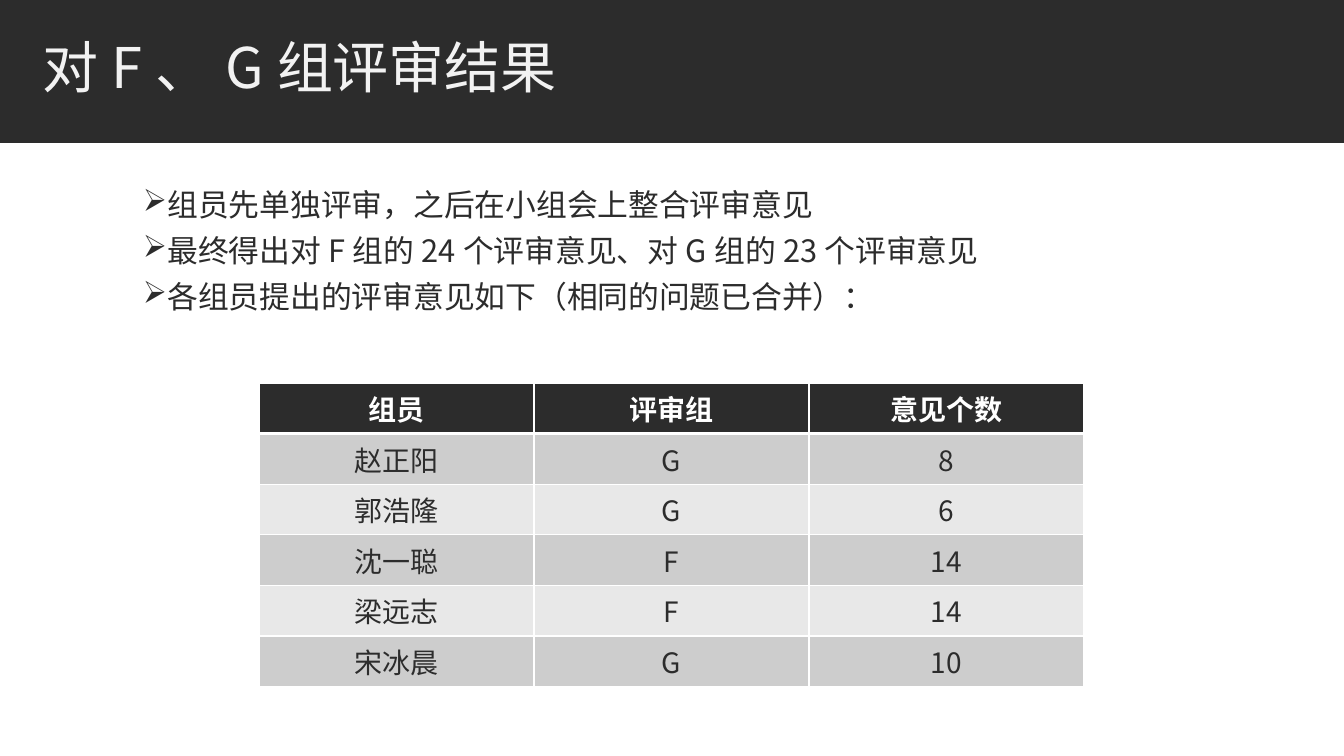
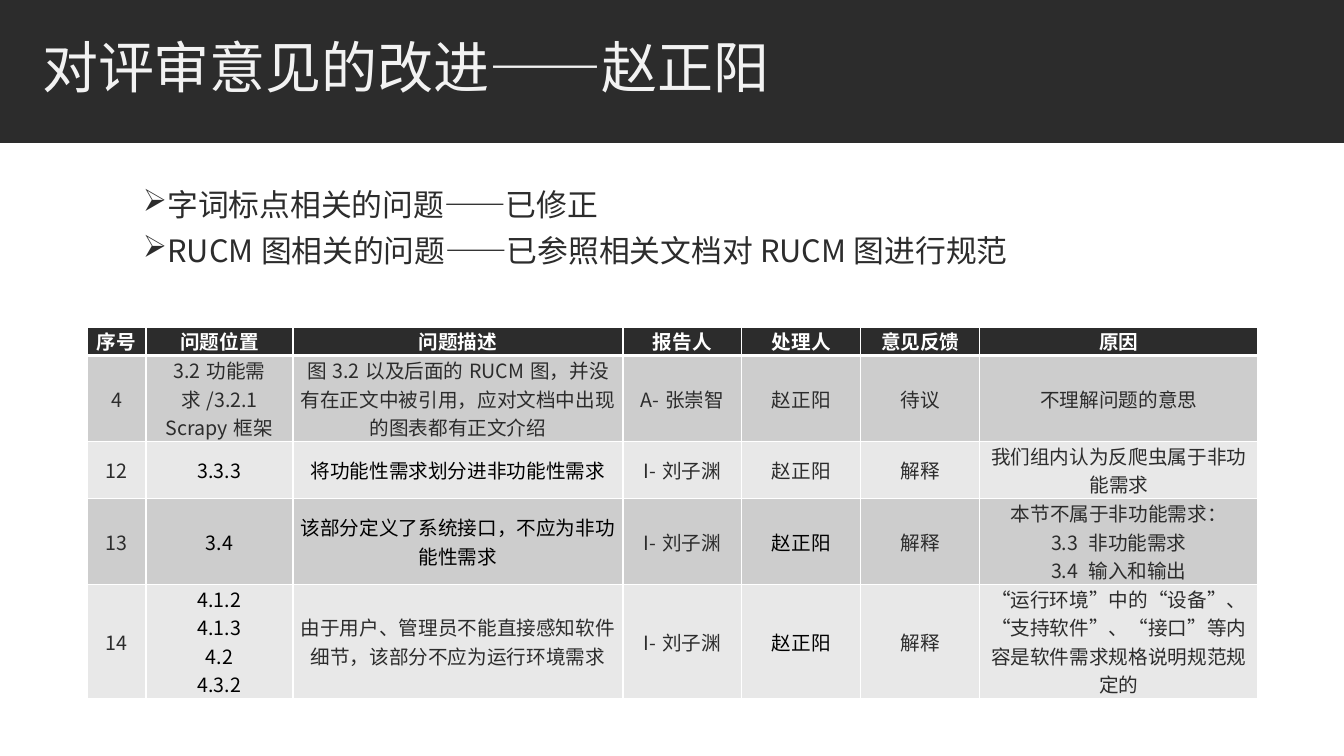
from dataclasses import dataclass

from lxml import etree
from pptx import Presentation
from pptx.dml.color import RGBColor
from pptx.enum.shapes import MSO_SHAPE
from pptx.enum.text import MSO_ANCHOR, MSO_AUTO_SIZE, PP_ALIGN
from pptx.oxml.ns import qn
from pptx.slide import Slide, SlideLayout
from pptx.table import _Cell
from pptx.text.text import TextFrame
from pptx.util import Emu, Pt

RECTANGLE = MSO_SHAPE.RECTANGLE
MIDDLE = MSO_ANCHOR.MIDDLE
TOP = MSO_ANCHOR.TOP
LEFT = PP_ALIGN.LEFT
CENTER = PP_ALIGN.CENTER
NO_AUTOFIT = MSO_AUTO_SIZE.NONE

EMU_PER_PX = 914400 / 100.8
SLIDE_WIDTH, SLIDE_HEIGHT = 1344, 756
BAND_HEIGHT = 143
TITLE_BOX = (32, 26, 1079, 91)
POINTS_BOX = (133, 169, 1079, 516)
BULLET_INDENT = 20
TITLE_ONLY = 5
FONT = "Noto Sans CJK SC"
COLORS = {
    "dark": "2C2C2C",
    "title": "F2F2F2",
    "white": "FFFFFF",
    "black": "000000",
    "odd_row": "CDCDCD",
    "even_row": "E8E8E8",
}


@dataclass(frozen=True)
class ReviewTable:
    left: int
    top: int
    columns: tuple[int, ...]
    heights: tuple[int, ...]
    rows: tuple[tuple[str, ...], ...]
    size: int
    margins: tuple[int, int]
    black_cells: frozenset[tuple[int, int]] = frozenset()


@dataclass(frozen=True)
class ReviewSlide:
    title: str
    points: str
    table: ReviewTable


REVIEW_SLIDES = (
    ReviewSlide(
        "对F、G组评审结果",
        "组员先单独评审，之后在小组会上整合评审意见\n"
        "最终得出对F组的24个评审意见、对G组的23个评审意见\n"
        "各组员提出的评审意见如下（相同的问题已合并）：",
        ReviewTable(
            left=259,
            top=383,
            columns=(275,) * 3,
            heights=(41,) * 6,
            rows=(
                ("组员", "评审组", "意见个数"),
                ("赵正阳", "G", "8"),
                ("郭浩隆", "G", "6"),
                ("沈一聪", "F", "14"),
                ("梁远志", "F", "14"),
                ("宋冰晨", "G", "10"),
            ),
            size=20,
            margins=(10, 5),
        ),
    ),
    ReviewSlide(
        "对评审意见的改进——赵正阳",
        "字词标点相关的问题——已修正\n"
        "RUCM图相关的问题——已参照相关文档对RUCM图进行规范",
        ReviewTable(
            left=87,
            top=327,
            columns=(59, 147, 330, 119, 119, 119, 278),
            heights=(28, 51, 51, 63, 98),
            rows=(
                ("序号", "问题位置", "问题描述", "报告人", "处理人", "意见反馈", "原因"),
                (
                    "4",
                    "3.2功能需求/3.2.1 Scrapy框架",
                    "图3.2以及后面的RUCM图，并没有在正文中被引用，应对文档中出现的图表都有正文介绍",
                    "A-张崇智",
                    "赵正阳",
                    "待议",
                    "不理解问题的意思",
                ),
                (
                    "12",
                    "3.3.3",
                    "将功能性需求划分进非功能性需求",
                    "I-刘子渊",
                    "赵正阳",
                    "解释",
                    "我们组内认为反爬虫属于非功能需求",
                ),
                (
                    "13",
                    "3.4",
                    "该部分定义了系统接口，不应为非功能性需求",
                    "I-刘子渊",
                    "赵正阳",
                    "解释",
                    "本节不属于非功能需求：\n3.3 非功能需求\n3.4 输入和输出",
                ),
                (
                    "14",
                    "4.1.2\n4.1.3\n4.2\n4.3.2",
                    "由于用户、管理员不能直接感知软件细节，该部分不应为运行环境需求",
                    "I-刘子渊",
                    "赵正阳",
                    "解释",
                    "“运行环境”中的“设备”、“支持软件”、“接口”等内容是软件需求规格说明规范规定的",
                ),
            ),
            size=14,
            margins=(7, 0),
            black_cells=frozenset({(2, 1), (2, 2), (3, 1), (3, 2), (3, 4), (4, 1), (4, 4)}),
        ),
    ),
)


def px(length: int) -> Emu:
    return Emu(round(length * EMU_PER_PX))


def rgb(name: str) -> RGBColor:
    return RGBColor.from_string(COLORS[name])


def write(
    frame: TextFrame,
    text: str,
    *,
    size: int,
    color: str,
    bold: bool = False,
    align: PP_ALIGN = LEFT,
    spacing: float = 1.0,
    bullet: str = "",
) -> None:
    for index, line in enumerate(text.split("\n")):
        paragraph = frame.add_paragraph() if index else frame.paragraphs[0]
        paragraph.alignment = align
        paragraph.line_spacing = spacing
        run = paragraph.add_run()
        run.text = line
        run.font.size = Pt(size)
        run.font.bold = bold
        run.font.color.rgb = rgb(color)
        run.font.name = FONT
        etree.SubElement(run.font._element, qn("a:ea"), typeface=FONT)
        if bullet:
            properties = paragraph._p.get_or_add_pPr()
            properties.set("marL", str(px(BULLET_INDENT)))
            properties.set("indent", str(-px(BULLET_INDENT)))
            bullet_color = etree.SubElement(properties, qn("a:buClr"))
            etree.SubElement(bullet_color, qn("a:srgbClr"), val=COLORS[color])
            etree.SubElement(properties, qn("a:buChar"), char=bullet)


def add_band(slide: Slide, layout: SlideLayout) -> None:
    band = slide.shapes.add_shape(RECTANGLE, 0, 0, px(SLIDE_WIDTH), px(BAND_HEIGHT))
    band.shadow.inherit = False
    band.fill.solid()
    band.fill.fore_color.rgb = rgb("dark")
    band.line.fill.background()
    layout.shapes._spTree.insert(2, band._element)


def add_title(slide: Slide, text: str) -> None:
    title = slide.shapes.title
    title.left, title.top, title.width, title.height = map(px, TITLE_BOX)
    frame = title.text_frame
    frame.auto_size = NO_AUTOFIT
    frame.vertical_anchor = MIDDLE
    write(frame, text, size=40, color="title", spacing=0.85)


def add_points(slide: Slide, text: str) -> None:
    frame = slide.shapes.add_textbox(*map(px, POINTS_BOX)).text_frame
    frame.word_wrap = True
    frame.auto_size = NO_AUTOFIT
    frame.vertical_anchor = TOP
    frame.margin_top = px(8)
    write(frame, text, size=22, color="dark", spacing=1.24, bullet="➢")


def set_borders(cell: _Cell, row: int) -> None:
    properties = cell._tc.get_or_add_tcPr()
    widths = {"lnL": 1, "lnR": 1, "lnT": 3 if row == 1 else 1, "lnB": 3 if row == 0 else 1}
    for position, (side, width) in enumerate(widths.items()):
        border = etree.Element(qn(f"a:{side}"), w=str(Pt(width)))
        fill = etree.SubElement(border, qn("a:solidFill"))
        etree.SubElement(fill, qn("a:srgbClr"), val=COLORS["white"])
        properties.insert(position, border)


def add_review_table(slide: Slide, review: ReviewTable) -> None:
    table = slide.shapes.add_table(
        len(review.rows),
        len(review.columns),
        px(review.left),
        px(review.top),
        px(sum(review.columns)),
        px(sum(review.heights)),
    ).table
    for column, width in zip(table.columns, review.columns):
        column.width = px(width)
    for table_row, height in zip(table.rows, review.heights):
        table_row.height = px(height)
    side_margin, end_margin = map(px, review.margins)
    for row, texts in enumerate(review.rows):
        header = row == 0
        background = "dark" if header else "odd_row" if row % 2 else "even_row"
        for column, text in enumerate(texts):
            cell = table.cell(row, column)
            cell.fill.solid()
            cell.fill.fore_color.rgb = rgb(background)
            cell.vertical_anchor = MIDDLE
            cell.margin_left = cell.margin_right = side_margin
            cell.margin_top = cell.margin_bottom = end_margin
            set_borders(cell, row)
            ink = "black" if (row, column) in review.black_cells else "dark"
            write(
                cell.text_frame,
                text,
                size=review.size,
                color="white" if header else ink,
                bold=header,
                align=CENTER,
            )


def main() -> None:
    deck = Presentation()
    deck.slide_width, deck.slide_height = px(SLIDE_WIDTH), px(SLIDE_HEIGHT)
    layout = deck.slide_layouts[TITLE_ONLY]
    for index, review in enumerate(REVIEW_SLIDES):
        slide = deck.slides.add_slide(layout)
        if index == 0:
            add_band(slide, layout)
        add_title(slide, review.title)
        add_points(slide, review.points)
        add_review_table(slide, review.table)
    deck.save("out.pptx")


if __name__ == "__main__":
    main()
